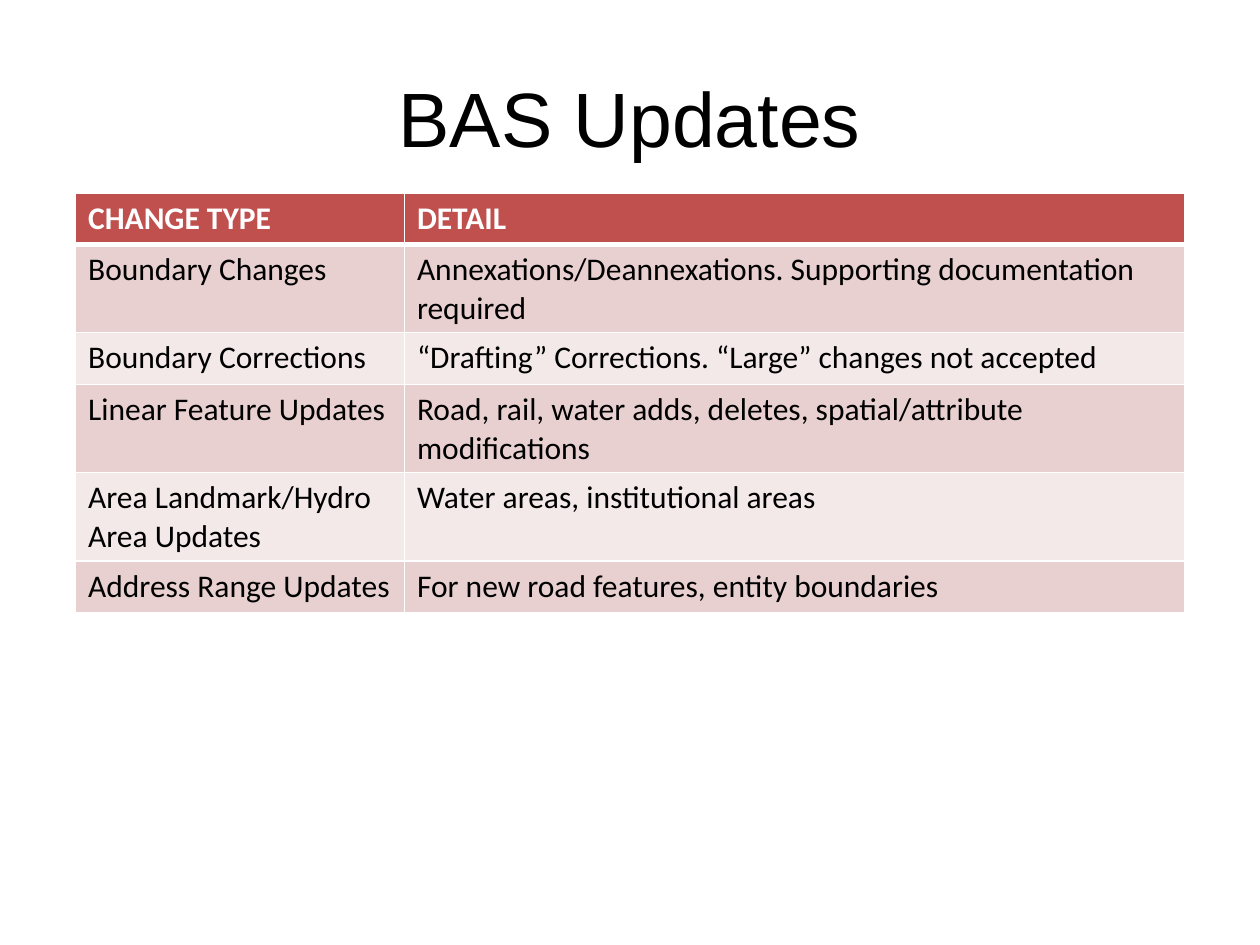
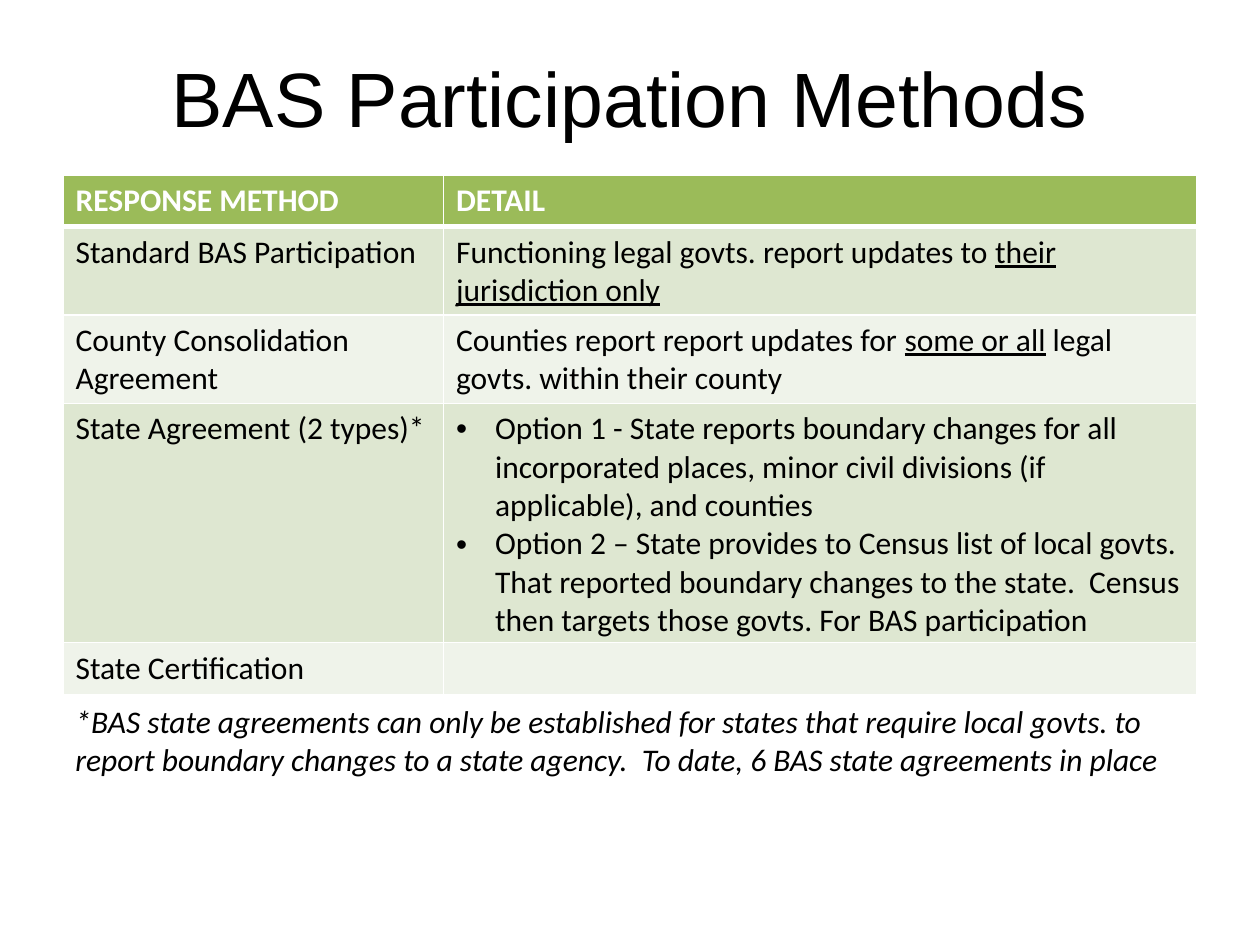
from lxml.etree import SubElement
from pptx import Presentation
from pptx.dml.color import RGBColor
from pptx.enum.text import MSO_ANCHOR, PP_ALIGN
from pptx.oxml import parse_xml
from pptx.oxml.ns import nsdecls, qn
from pptx.util import Inches, Pt

HUES = {
    "ink": "000000", "white": "FFFFFF",
    "red": "C0504D", "rose": "E8D0D0", "blush": "F4E9E9",
    "green": "9BBB59", "sage": "DEE7D1", "mist": "EFF3EA",
}
TITLE = {"name": "Arial", "size": Pt(44)}
BODY = {"name": "Calibri", "size": Pt(18), "bold": False}
HEAD = {**BODY, "bold": True}
NOTE = {**BODY, "italic": True}
ROW = 0.41
INDENT = 0.31


class Deck:
    """Holds the style and the current slide."""

    def __init__(self):
        """Start a 10 by 7.5 inch deck."""
        self.file = Presentation()
        self.file.slide_width = Inches(10)
        self.file.slide_height = Inches(7.5)
        self.slide = None

    def add(self):
        """Open a new blank slide."""
        self.slide = self.file.slides.add_slide(self.file.slide_layouts[6])

    def words(self, para, text, style, hue="ink"):
        """Fill a paragraph; text between underscores is underlined."""
        for i, part in enumerate(text.split("_")):
            if not part:
                continue
            run = para.add_run()
            run.text = part
            for key, value in style.items():
                setattr(run.font, key, value)
            run.font.color.rgb = RGBColor.from_string(HUES[hue])
            if i % 2:
                run.font.underline = True

    def text(self, text, box, style):
        """Add a wrapping text box and return its frame."""
        frame = self.slide.shapes.add_textbox(*map(Inches, box)).text_frame
        frame.word_wrap = True
        self.words(frame.paragraphs[0], text, style)
        return frame

    def title(self, text, top):
        """Add the centred slide title."""
        frame = self.text(text, (0.5, top, 9, 1.25), TITLE)
        frame.vertical_anchor = MSO_ANCHOR.MIDDLE
        frame.paragraphs[0].alignment = PP_ALIGN.CENTER

    def bullet(self, para):
        """Give a paragraph a hanging bullet."""
        props = para._p.get_or_add_pPr()
        props.set("marL", str(Inches(INDENT)))
        props.set("indent", str(-Inches(INDENT)))
        SubElement(props, qn("a:buFont"), typeface="Arial")
        SubElement(props, qn("a:buChar"), char="•")

    def border(self, cell, sides):
        """Draw white cell borders; sides maps each side to points."""
        props = cell._tc.get_or_add_tcPr()
        for i, (side, width) in enumerate(sides.items()):
            props.insert(i, parse_xml(
                f'<a:ln{side} {nsdecls("a")} w="{Pt(width)}"><a:solidFill>'
                f'<a:srgbClr val="{HUES["white"]}"/></a:solidFill></a:ln{side}>'))

    def cell(self, cell, text, fill, style, hue):
        """Fill one cell; a list of texts becomes bullets."""
        cell.fill.solid()
        cell.fill.fore_color.rgb = RGBColor.from_string(HUES[fill])
        items = text if isinstance(text, list) else [text]
        for i, item in enumerate(items):
            frame = cell.text_frame
            para = frame.add_paragraph() if i else frame.paragraphs[0]
            if items is text:
                self.bullet(para)
            self.words(para, item, style, hue)

    def table(self, rows, spot, widths, fills):
        """Add a table with a head row and two banded fills."""
        head, *bands = fills
        size = (sum(widths), ROW * len(rows))
        grid = self.slide.shapes.add_table(
            len(rows), len(widths), *map(Inches, spot + size)).table
        for col, width in zip(grid.columns, widths):
            col.width = Inches(width)
        for r, texts in enumerate(rows):
            grid.rows[r].height = Inches(ROW)
            look = (bands[(r - 1) % 2], BODY, "ink") if r else (head, HEAD, "white")
            sides = {"L": 1, "R": 1, "T": 3 if r == 1 else 1, "B": 1 if r else 3}
            for c, text in enumerate(texts):
                self.cell(grid.cell(r, c), text, *look)
                self.border(grid.cell(r, c), sides)


UPDATES = [
    ("CHANGE TYPE", "DETAIL"),
    ("Boundary Changes",
     "Annexations/Deannexations. Supporting documentation required"),
    ("Boundary Corrections",
     "“Drafting” Corrections. “Large” changes not accepted"),
    ("Linear Feature Updates",
     "Road, rail, water adds, deletes, spatial/attribute modifications"),
    ("Area Landmark/Hydro Area Updates", "Water areas, institutional areas"),
    ("Address Range Updates", "For new road features, entity boundaries"),
]
METHODS = [
    ("RESPONSE METHOD", "DETAIL"),
    ("Standard BAS Participation",
     "Functioning legal govts. report updates to _their jurisdiction only_"),
    ("County Consolidation Agreement",
     "Counties report report updates for _some or all_ legal govts. "
     "within their county"),
    ("State Agreement (2 types)*", [
        "Option 1 - State reports boundary changes for all incorporated "
        "places, minor civil divisions (if applicable), and counties",
        "Option 2 – State provides to Census list of local govts. That "
        "reported boundary changes to the state.  Census then targets "
        "those govts. For BAS participation"]),
    ("State Certification", ""),
]

deck = Deck()

deck.add()
deck.title("BAS Updates", 0.3)
deck.table(UPDATES, (0.6, 1.53), (2.61, 6.19), ("red", "rose", "blush"))

deck.add()
deck.title("BAS Participation Methods", 0.14)
deck.table(METHODS, (0.5, 1.39), (3.02, 5.98), ("green", "sage", "mist"))
deck.text("*BAS state agreements can only be established for states that "
          "require local govts. to report boundary changes to a state "
          "agency.  To date, 6 BAS state agreements in place",
          (0.5, 5.52, 9, 0.71), NOTE)

deck.file.save("out.pptx")
